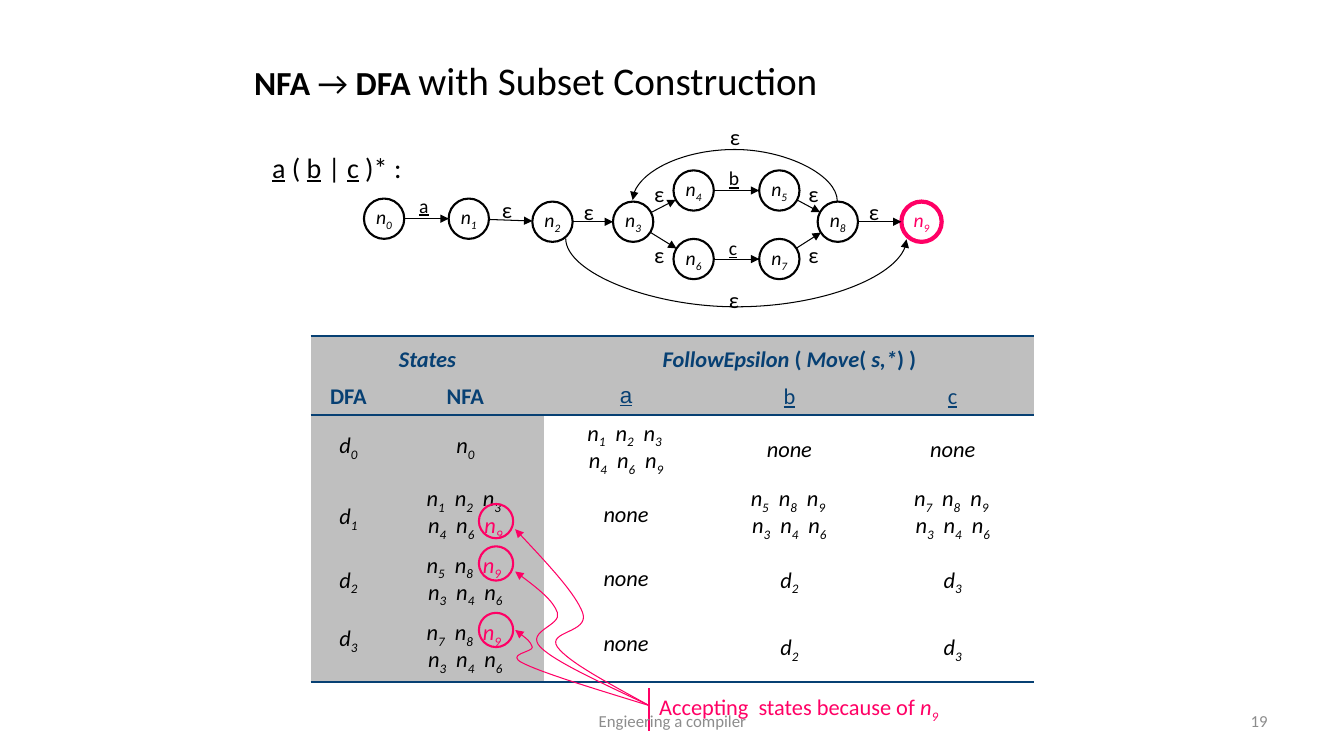
from math import hypot

from lxml import etree
from pptx import Presentation
from pptx.dml.color import RGBColor
from pptx.enum.shapes import MSO_CONNECTOR, MSO_SHAPE
from pptx.enum.text import MSO_ANCHOR, MSO_AUTO_SIZE, PP_ALIGN
from pptx.oxml.ns import qn
from pptx.util import Inches, Pt

COLORS = {"ink": "000000", "accept": "FF0065", "navy": "074073",
          "band": "BFBFBF", "paper": "FFFFFF", "footer": "8C8C8C"}
NO_STYLE = "{2D5ABB26-0587-4C30-8999-92F81FD0307C}"
RADIUS = 0.2

# Centre of each state within the diagram box
STATES = {"n0": (0.21, 0.97), "n1": (1.05, 0.97), "n2": (1.88, 1), "n3": (2.68, 1),
          "n4": (3.28, 0.69), "n5": (4.13, 0.69), "n6": (3.28, 1.37),
          "n7": (4.13, 1.37), "n8": (4.71, 1), "n9": (5.54, 1)}
# From, to, symbol, label position
MOVES = [("n0", "n1", "a", 0.46, 0.67), ("n1", "n2", "ε", 1.28, 0.7),
         ("n2", "n3", "ε", 2.09, 0.72), ("n3", "n4", "ε", 2.79, 0.54),
         ("n3", "n6", "ε", 2.79, 1.14), ("n4", "n5", "b", 3.53, 0.4),
         ("n6", "n7", "c", 3.53, 1.09), ("n5", "n8", "ε", 4.32, 0.54),
         ("n7", "n8", "ε", 4.32, 1.14), ("n8", "n9", "ε", 4.92, 0.72)]
# Cells of the table body: text and line spacing; * marks an accepting state
SUBSETS = [
    [("d0", 1.4), ("n0", 1.4), ("n1 n2 n3|n4 n6 n9", 0.9), ("none", 1.6), ("none", 1.6)],
    [("d1", 1.6), ("n1 n2 n3|n4 n6 n9*", 0.9), ("none", 1.6),
     ("n5 n8 n9|n3 n4 n6", 0.9), ("n7 n8 n9|n3 n4 n6", 0.9)],
    [("d2", 1.5), ("n5 n8 n9*|n3 n4 n6", 0.9), ("none", 1.5), ("d2", 1.5), ("d3", 1.5)],
    [("d3", 1.2), ("n7 n8 n9*|n3 n4 n6", 0.9), ("none", 1.4), ("d2", 1.5), ("d3", 1.5)],
]


def rgb(name):
    return RGBColor.from_string(COLORS[name])


def style(paragraph, size, color="ink", align=PP_ALIGN.LEFT, **flags):
    paragraph.alignment = align
    font = paragraph.font
    font.name, font.size, font.color.rgb = "Calibri", Pt(size), rgb(color)
    for flag, value in flags.items():
        setattr(font, flag, value)


def add_run(paragraph, text, **flags):
    run = paragraph.add_run()
    run.text = text
    for flag, value in flags.items():
        setattr(run.font, flag, value)
    return run


def add_state(paragraph, state, gap="", tail="", color=None):
    letter = add_run(paragraph, gap + state[0])
    index = add_run(paragraph, state[1] + tail)
    index.font._element.set("baseline", "-25000")
    if color:
        letter.font.color.rgb = index.font.color.rgb = rgb(color)


def add_text(slide, left, top, width, height, wrap=True, anchor=MSO_ANCHOR.TOP):
    frame = slide.shapes.add_textbox(*map(Inches, (left, top, width, height))).text_frame
    frame.word_wrap, frame.vertical_anchor = wrap, anchor
    return frame.paragraphs[0]


def add_circle(slide, x, y, radius, color="ink", weight=1.5):
    circle = slide.shapes.add_shape(
        MSO_SHAPE.OVAL, *map(Inches, (x - radius, y - radius, 2 * radius, 2 * radius)))
    circle.shadow.inherit = False
    circle.fill.background()
    circle.line.color.rgb, circle.line.width = rgb(color), Pt(weight)
    return circle


def set_line(shape, color="ink", weight=0.75, arrow=True):
    shape.line.color.rgb, shape.line.width = rgb(color), Pt(weight)
    if arrow:
        etree.SubElement(shape.line._get_or_add_ln(), qn("a:tailEnd"), type="triangle")


def add_line(slide, start, end, kind=MSO_CONNECTOR.STRAIGHT, **look):
    line = slide.shapes.add_connector(kind, *map(Inches, (*start, *end)))
    set_line(line, **look)
    etree.SubElement(line._element.spPr, qn("a:effectLst"))
    return line


def add_arc(slide, x, y, span, bulge, turn):
    """Curved arrow centred on (x, y); turn 90 bulges up and 270 down."""
    depth = 0.01
    arc = add_line(slide, (x - depth / 2, y - span / 2), (x + depth / 2, y + span / 2),
                   MSO_CONNECTOR.CURVE)
    frame = arc._element.spPr.find(qn("a:xfrm"))
    frame.set("rot", str(turn * 60000))
    frame.set("flipH", "1")
    guides = arc._element.spPr.find(qn("a:prstGeom")).get_or_add_avLst()
    etree.SubElement(guides, qn("a:gd"), name="adj1",
                     fmla=f"val {round(bulge / depth * 100000)}")


def add_pointer(slide, points):
    """Arrow of Bézier segments: a start, then three points per segment."""
    corners = [tuple(map(Inches, point)) for point in points]
    builder = slide.shapes.build_freeform(*corners[0])
    pointer = builder.add_line_segments(corners[1:], close=False).convert_to_shape()
    steps = list(pointer._element.iter(qn("a:lnTo")))
    for first in range(0, len(steps), 3):
        curve = etree.Element(qn("a:cubicBezTo"))
        steps[first].addprevious(curve)
        for step in steps[first:first + 3]:
            curve.append(step[0])
            step.getparent().remove(step)
    pointer.shadow.inherit = False
    pointer.fill.background()
    set_line(pointer, "accept")


def add_title(slide, left, top, width, height):
    title = slide.shapes.title
    title.left, title.top, title.width, title.height = map(Inches, (left, top, width, height))
    frame = title.text_frame
    frame.auto_size, frame.vertical_anchor = MSO_AUTO_SIZE.NONE, MSO_ANCHOR.MIDDLE
    paragraph = frame.paragraphs[0]
    style(paragraph, 24)
    for text, bold, size in (("NFA", True, 24), (" → ", False, 24), ("DFA ", True, 24),
                             ("with Subset Construction", False, 28)):
        add_run(paragraph, text, bold=bold, size=Pt(size))


def add_expression(slide, left, top, width, height):
    paragraph = add_text(slide, left, top, width, height, wrap=False)
    style(paragraph, 20)
    for text in ("a", " ( ", "b", " | ", "c", " )* :"):
        add_run(paragraph, text, underline=text.isalpha())


def add_automaton(slide, left, top):
    def label(symbol, x, y):
        empty = symbol == "ε"
        paragraph = add_text(slide, left + x, top + y, 0.26, 0.35)
        paragraph.text = symbol
        style(paragraph, 16 if empty else 14, underline=not empty)

    centers = {state: (left + x, top + y) for state, (x, y) in STATES.items()}
    # States
    for state, (x, y) in centers.items():
        final = state == "n9"
        color = "accept" if final else "ink"
        frame = add_circle(slide, x, y, RADIUS, color, 3 if final else 1.5).text_frame
        frame.word_wrap, frame.vertical_anchor = False, MSO_ANCHOR.MIDDLE
        style(frame.paragraphs[0], 14, color, PP_ALIGN.CENTER, italic=True)
        add_state(frame.paragraphs[0], state)
    # Moves run from rim to rim
    for source, target, symbol, x, y in MOVES:
        (x1, y1), (x2, y2) = centers[source], centers[target]
        share = RADIUS / hypot(x2 - x1, y2 - y1)
        dx, dy = (x2 - x1) * share, (y2 - y1) * share
        add_line(slide, (x1 + dx, y1 + dy), (x2 - dx, y2 - dy))
        label(symbol, x, y)
    # Repeat and skip
    add_arc(slide, left + 3.69, top + 0.79, 2.03, 0.52, 90)
    label("ε", 3.54, -0.03)
    add_arc(slide, left + 3.7, top + 1.17, 3.38, 0.69, 270)
    label("ε", 3.53, 1.59)


def set_border(cell, side, weight):
    border = etree.Element(qn(f"a:{side}"), w=str(Pt(weight)))
    fill = etree.SubElement(border, qn("a:solidFill"))
    etree.SubElement(fill, qn("a:srgbClr"), val=COLORS["navy"])
    cell._tc.get_or_add_tcPr().insert(0, border)


def add_subset_table(slide, left, top, width, height):
    table = slide.shapes.add_table(6, 5, *map(Inches, (left, top, width, height))).table
    table._tbl.tblPr.find(qn("a:tableStyleId")).text = NO_STYLE
    table.first_row = table.horz_banding = False
    for column, size in zip(table.columns, (0.75, 1.57, 1.62, 1.62, 1.62)):
        column.width = Inches(size)
    for row, size in zip(table.rows, (0.42, 0.33, 0.59, 0.66, 0.67, 0.67)):
        row.height = Inches(size)
    for r in range(6):
        for c in range(5):
            cell = table.cell(r, c)
            cell.fill.solid()
            cell.fill.fore_color.rgb = rgb("band" if r < 2 or c < 2 else "paper")
            if r == 0:
                set_border(cell, "lnT", 1.5)
            if r in (1, 5):
                set_border(cell, "lnB", 1 if r == 1 else 1.5)
    # Headings
    table.cell(0, 0).merge(table.cell(0, 1))
    table.cell(0, 2).merge(table.cell(0, 4))
    for c, texts in ((0, ["States"]), (2, ["FollowEpsilon ", "( ", "Move", "( ", "s,*", ") )"])):
        paragraph = table.cell(0, c).text_frame.paragraphs[0]
        style(paragraph, 16, "navy", PP_ALIGN.CENTER, bold=True)
        paragraph.line_spacing = 1.2
        for i, text in enumerate(texts):
            add_run(paragraph, text, italic=i % 2 == 0)
    for c, text in enumerate(("DFA", "NFA", "a", "b", "c")):
        paragraph = table.cell(1, c).text_frame.paragraphs[0]
        paragraph.text = text
        style(paragraph, 16, "navy", PP_ALIGN.CENTER, bold=c < 2, underline=c >= 2)
        if text == "a":
            paragraph.font.name = "Arial"
    # Subsets
    for r, row in enumerate(SUBSETS, 2):
        for c, (content, spacing) in enumerate(row):
            frame = table.cell(r, c).text_frame
            lines = content.split("|")
            for i, line in enumerate(lines):
                paragraph = frame.add_paragraph() if i else frame.paragraphs[0]
                style(paragraph, 16, "ink", PP_ALIGN.CENTER, italic=True)
                paragraph.line_spacing = spacing
                if line == "none":
                    add_run(paragraph, line)
                    continue
                states = line.split()
                for k, state in enumerate(states):
                    ends_line = k == len(states) - 1 and i < len(lines) - 1
                    add_state(paragraph, state, "  " if k else "", " " if ends_line else "",
                              "accept" if state.endswith("*") else None)


def add_accepting_note(slide, left, top):
    for y in (-1.66, -1.24, -0.58):
        add_circle(slide, left - 1.52, top + y, 0.17, "accept")
    paragraph = add_text(slide, left, top, 3.83, 0.37)
    style(paragraph, 16, "accept")
    add_run(paragraph, "Accepting  states because of ")
    add_state(paragraph, "n9")
    for run in paragraph.runs[1:]:
        run.font.italic = True
    add_line(slide, (left, top), (left, top + 0.42), color="accept", weight=1.5, arrow=False)
    for bends in (
        [(-0.4, -0.05), (-0.8, -0.26), (-0.91, -0.41), (-1.02, -0.57), (-0.59, -0.55),
         (-0.66, -0.75), (-0.73, -0.94), (-1.03, -1.26), (-1.33, -1.58)],
        [(-0.46, -0.05), (-0.93, -0.26), (-1.08, -0.41), (-1.23, -0.57), (-0.87, -0.62),
         (-0.91, -0.75), (-0.95, -0.87), (-1.14, -1.02), (-1.33, -1.16)],
        [(-0.52, 0.01), (-1.05, -0.15), (-1.25, -0.25), (-1.44, -0.34), (-1.15, -0.36),
         (-1.16, -0.41), (-1.18, -0.47), (-1.25, -0.52), (-1.33, -0.58)],
    ):
        add_pointer(slide, [(left + x, top + y) for x, y in [(0, 0.17)] + bends])


def add_footer(slide, top, height):
    for text, left, width, align in (("Engieering a compiler", 4.56, 4.22, PP_ALIGN.CENTER),
                                     ("19", 9.56, 3.11, PP_ALIGN.RIGHT)):
        paragraph = add_text(slide, left, top, width, height, anchor=MSO_ANCHOR.MIDDLE)
        paragraph.text = text
        style(paragraph, 12, "footer", align)


def main():
    deck = Presentation()
    deck.slide_width, deck.slide_height = Inches(13.33), Inches(7.5)
    slide = deck.slides.add_slide(deck.slide_layouts[5])
    add_title(slide, 2.42, 0.5, 8.5, 0.58)
    add_expression(slide, 2.6, 1.44, 1.51, 0.44)
    add_automaton(slide, 3.6, 1.2)
    add_subset_table(slide, 3.08, 3.33, 7.17, 3.37)
    add_accepting_note(slide, 6.44, 6.83)
    add_footer(slide, 6.95, 0.4)
    deck.save("out.pptx")


if __name__ == "__main__":
    main()
